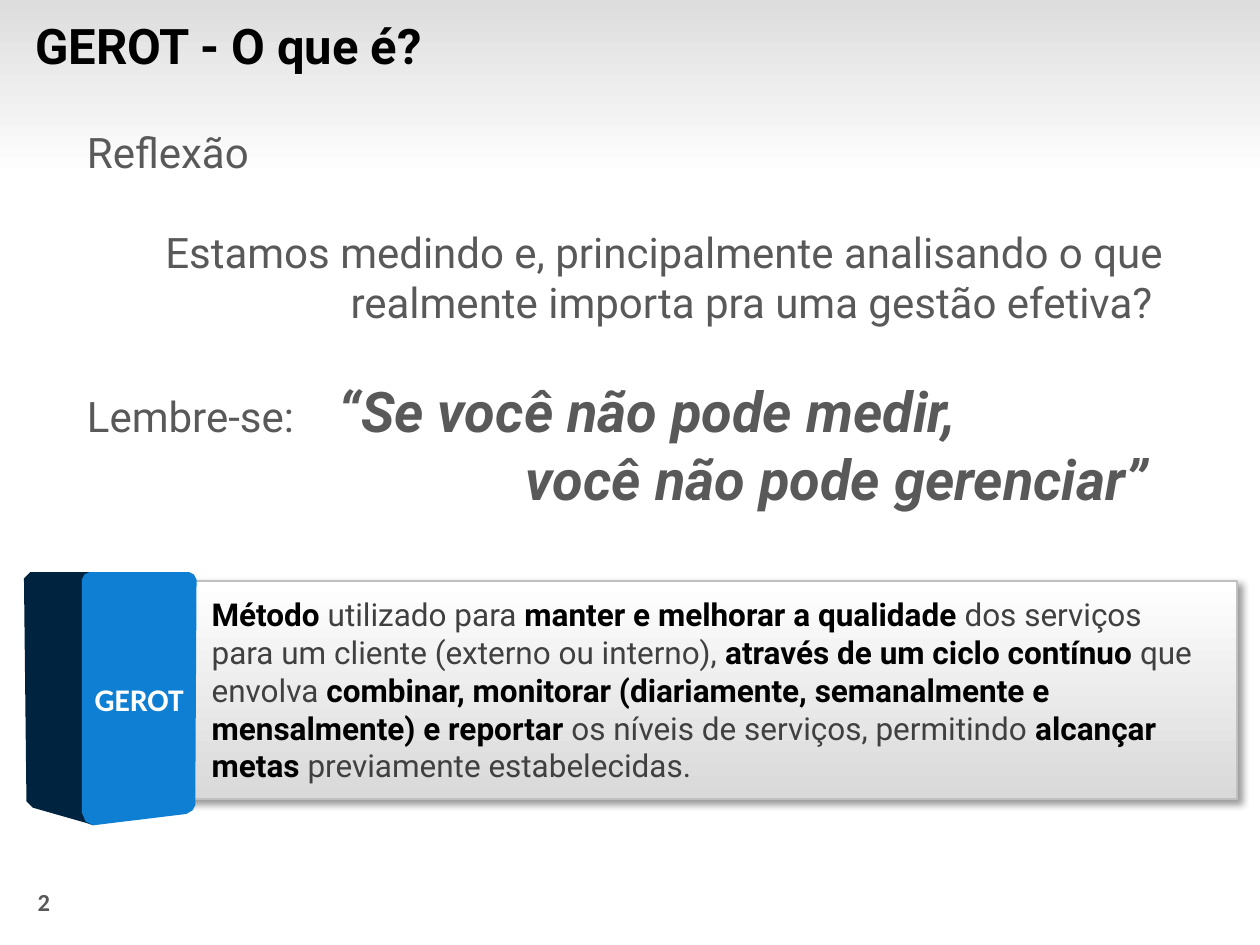
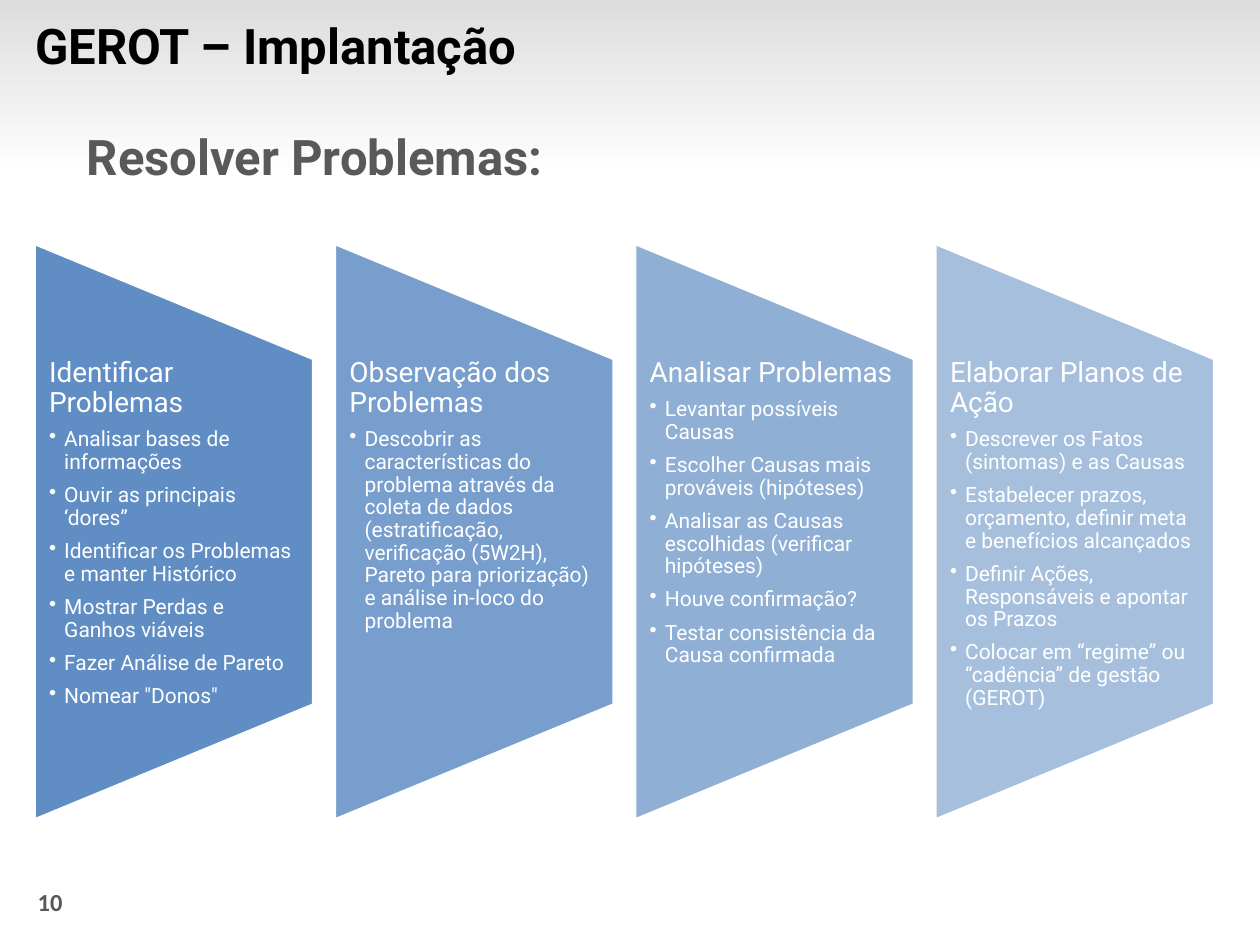
from lxml.etree import SubElement as Sub
from pptx import Presentation
from pptx.dml.color import RGBColor as RGB
from pptx.enum.shapes import MSO_SHAPE as Shape
from pptx.enum.text import MSO_ANCHOR as Anchor, MSO_AUTO_SIZE as Fit, PP_ALIGN as Align
from pptx.oxml.ns import qn
from pptx.util import Inches, Pt

BLACK, WHITE = RGB(0, 0, 0), RGB(255, 255, 255)
GREY, DARK = RGB(0x59, 0x59, 0x59), RGB(0x40, 0x40, 0x40)
BAND, SHADE, EDGE = RGB(0xDD, 0xDD, 0xDD), RGB(0xD9, 0xD9, 0xD9), RGB(0xC0, 0xC0, 0xC0)
FRONT, SIDE = RGB(0x0F, 0x7F, 0xD3), RGB(0x00, 0x24, 0x40)
PANEL = RGB(0x4F, 0x81, 0xBD)
FONT, PLAIN = "Roboto", "Calibri"


def style(font, size, color, bold=False, name=FONT):
    font.name, font.size, font.bold = name, Pt(size), bold
    font.color.rgb = color


def fade(shape, top, bottom):
    shape.shadow.inherit = False
    shape.fill.gradient()
    shape.fill.gradient_angle = 270
    for stop, color, pos in zip(shape.fill.gradient_stops, (top, bottom), (0, 1)):
        stop.color.rgb, stop.position = color, pos


prs = Presentation()
prs.slide_width, prs.slide_height = Inches(10), Inches(7.5)
layout = prs.slide_layouts[1]

# Shared frame: title, page number and body placeholder
heads = [("GEROT - O que é?", "2", 3.2), ("GEROT – Implantação", "10", 0.98)]
slides = []
for head, page, height in heads:
    slide = prs.slides.add_slide(layout)
    slides.append(slide)
    title, body = slide.placeholders
    title.left, title.top, title.width, title.height = map(Inches, (-0.02, 0, 8, 0.71))
    body.left, body.top, body.width, body.height = map(Inches, (0.59, 0.95, 8.74, height))
    for holder in (title, body):
        holder.text_frame.auto_size = Fit.NONE
    frame = title.text_frame
    frame.margin_left, frame.vertical_anchor = Inches(0.3), Anchor.MIDDLE
    frame.text = head
    para = frame.paragraphs[0]
    para.alignment = Align.LEFT
    style(para.font, 28, BLACK, True)

    box = slide.shapes.add_textbox(*map(Inches, (0.2, 6.99, 0.79, 0.34)))
    box.text_frame.text = page
    style(box.text_frame.paragraphs[0].font, 14, GREY, True, PLAIN)

# The band goes into the layout, behind everything
band = slides[0].shapes.add_shape(Shape.RECTANGLE, 0, 0, Inches(10), Inches(1.42))
fade(band, BAND, WHITE)
band.line.fill.background()
layout.shapes.element.insert(2, band.element)

# Body texts: (alignment, space before, [(text, size, bold, italic)])
quote = (32, True, True)
plain = (24, False, False)
texts = [
    [(Align.LEFT, 0, [("Reflexão", *plain)]),
     (Align.RIGHT, 28.5, [("Estamos medindo e, principalmente analisando o que "
                           "realmente importa pra uma gestão efetiva? ", *plain)]),
     (Align.LEFT, 28.5, [("Lembre-se:\t", *plain), ("“Se você não pode medir,", *quote)]),
     (Align.RIGHT, 0, [("você não pode gerenciar” ", *quote)])],
    [(Align.LEFT, 0, [("Resolver Problemas:", 28, True, False)])],
]
for slide, paras in zip(slides, texts):
    frame = slide.placeholders[1].text_frame
    for i, (align, gap, runs) in enumerate(paras):
        para = frame.add_paragraph() if i else frame.paragraphs[0]
        props = para._p.get_or_add_pPr()
        props.set("marL", "0")
        props.set("indent", "0")
        Sub(props, qn("a:buNone"))
        if len(runs) > 1:
            tabs = Sub(props, qn("a:tabLst"))
            Sub(tabs, qn("a:tab"), pos=str(Inches(1.92)), algn="l")
        para.alignment, para.space_before = align, Pt(gap)
        for text, size, bold, italic in runs:
            run = para.add_run()
            run.text = text
            style(run.font, size, GREY, bold)
            run.font.italic = italic

# Slide 1: definition box
shapes = slides[0].shapes
card = shapes.add_shape(Shape.RECTANGLE, *map(Inches, (1.36, 4.61, 8.46, 1.73)))
fade(card, WHITE, SHADE)
card.line.color.rgb, card.line.width = EDGE, Pt(1)
effects = card._element.spPr.find(qn("a:effectLst"))
shadow = Sub(effects, qn("a:outerShdw"), blurRad=str(Pt(4)), dist=str(Pt(3)),
             dir="2700000", algn="tl", rotWithShape="0")
Sub(Sub(shadow, qn("a:srgbClr"), val="000000"), qn("a:alpha"), val="40000")
frame = card.text_frame
frame.word_wrap, frame.vertical_anchor = True, Anchor.MIDDLE
frame.margin_left, frame.margin_right = Inches(0.32), Inches(0.24)
frame.margin_top = frame.margin_bottom = Inches(0.04)
para = frame.paragraphs[0]
para.alignment = Align.LEFT
parts = ["Método ", "utilizado para ", "manter e melhorar a qualidade ",
         "dos serviços para um cliente (externo ou interno), ",
         "através de um ciclo contínuo ", "que envolva ",
         "combinar, monitorar (diariamente, semanalmente e mensalmente) e reportar ",
         "os níveis de serviços, permitindo ", "alcançar metas ",
         "previamente estabelecidas."]
for i, part in enumerate(parts):
    run = para.add_run()
    run.text = part
    strong = i % 2 == 0
    style(run.font, 18, BLACK if strong else DARK, strong)

# Slide 1: solid block, side face then front face
faces = [
    (SIDE, [(0.19, 4.59), (0.24, 4.54), (0.74, 4.54), (0.74, 6.55), (0.68, 6.53),
            (0.26, 6.41), (0.21, 6.36)]),
    (FRONT, [(0.65, 4.6), (0.67, 4.56), (0.71, 4.54), (1.5, 4.54), (1.54, 4.56),
             (1.56, 4.6), (1.55, 6.39), (1.53, 6.43), (1.48, 6.46), (0.74, 6.55),
             (0.68, 6.52), (0.65, 6.45)]),
]
for color, points in faces:
    spots = [(Inches(x), Inches(y)) for x, y in points]
    path = shapes.build_freeform(*spots[0])
    path.add_line_segments(spots[1:], close=True)
    face = path.convert_to_shape()
    face.shadow.inherit = False
    face.fill.solid()
    face.fill.fore_color.rgb = color
    face.line.fill.background()
frame = face.text_frame
frame.text = "GEROT"
frame.word_wrap, frame.vertical_anchor = False, Anchor.MIDDLE
frame.margin_left = frame.margin_right = 0
para = frame.paragraphs[0]
para.alignment = Align.CENTER
style(para.font, 18, WHITE, True, PLAIN)

# Slide 2: four panels, each paler than the one before
steps = [
    (90, "Identificar Problemas",
     ["Analisar bases de informações", "Ouvir as principais ‘dores”",
      "Identificar os Problemas e manter Histórico", "Mostrar Perdas e Ganhos viáveis",
      "Fazer Análise de Pareto", "Nomear \"Donos\""]),
    (77, "Observação dos Problemas",
     ["Descobrir as características do problema através da coleta de dados "
      "(estratificação, verificação (5W2H), Pareto para priorização) e análise "
      "in-loco do problema"]),
    (63, "Analisar Problemas",
     ["Levantar possíveis Causas", "Escolher Causas mais prováveis (hipóteses)",
      "Analisar as Causas escolhidas (verificar hipóteses)", "Houve confirmação?",
      "Testar consistência da Causa confirmada"]),
    (50, "Elaborar Planos de Ação",
     ["Descrever os Fatos (sintomas) e as Causas",
      "Estabelecer prazos, orçamento, definir meta e benefícios alcançados",
      "Definir Ações, Responsáveis e apontar os Prazos",
      "Colocar em “regime” ou “cadência” de gestão (GEROT)"]),
]
shapes = slides[1].shapes
pitch = 7.15 / 3
for i, (alpha, head, items) in enumerate(steps):
    panel = shapes.add_shape(Shape.FLOWCHART_MANUAL_OPERATION, Inches(-0.91 + i * pitch),
                             Inches(3.11), Inches(4.58), Inches(2.22))
    panel.rotation = 270
    panel.shadow.inherit = False
    panel.fill.solid()
    panel.fill.fore_color.rgb = PANEL
    tint = panel._element.spPr.find(qn("a:solidFill"))[0]
    Sub(tint, qn("a:alpha"), val=str(alpha * 1000))
    panel.line.color.rgb, panel.line.width = WHITE, Pt(2)

    box = shapes.add_textbox(Inches(0.28 + i * pitch), Inches(2.84), Inches(2.22), Inches(2.75))
    frame = box.text_frame
    frame.word_wrap = True
    frame.margin_left = frame.margin_right = Inches(0.11)
    frame.margin_top = frame.margin_bottom = 0
    for j, text in enumerate([head, *items]):
        para = frame.add_paragraph() if j else frame.paragraphs[0]
        para.text = text
        if j:
            props = para._p.get_or_add_pPr()
            props.set("marL", str(Inches(0.12)))
            props.set("indent", str(-Inches(0.12)))
            Sub(props, qn("a:buChar"), char="•")
        para.line_spacing, para.space_after = 0.9, Pt(6)
        style(para.font, 12 if j else 16, WHITE)

prs.save("out.pptx")
